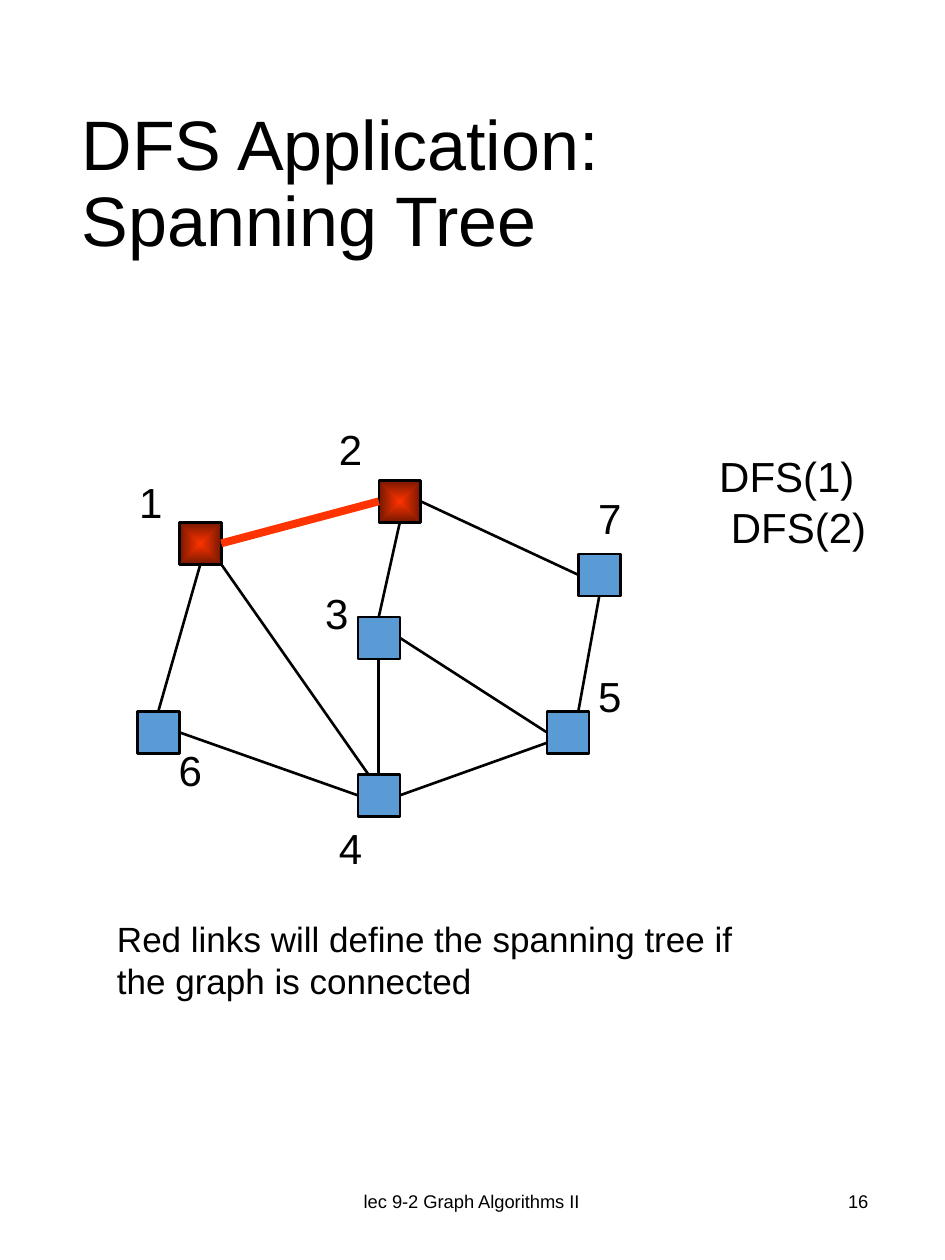
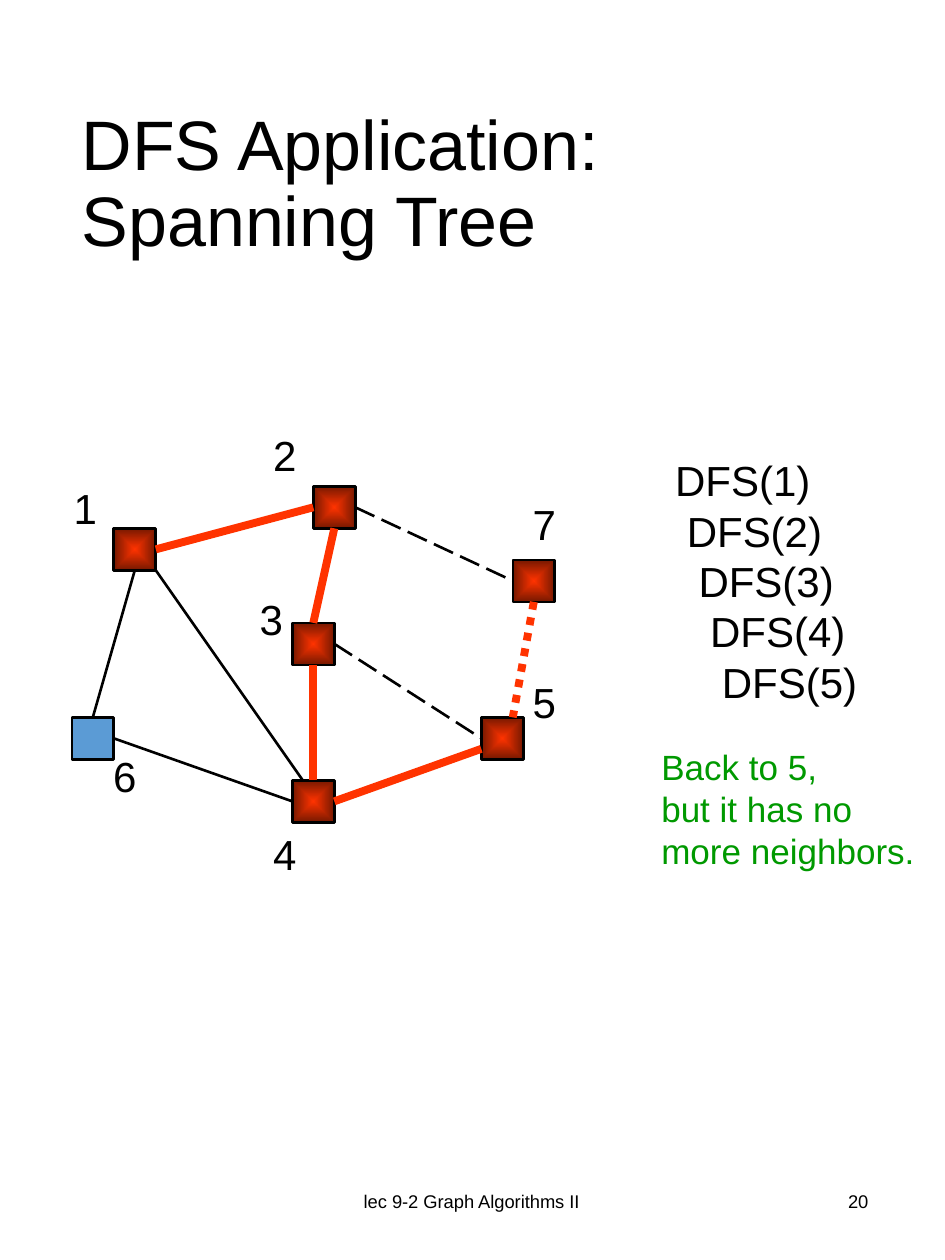
from lxml import etree
from pptx import Presentation
from pptx.dml.color import RGBColor
from pptx.enum.dml import MSO_LINE
from pptx.enum.shapes import MSO_CONNECTOR, MSO_SHAPE
from pptx.enum.text import MSO_ANCHOR, MSO_AUTO_SIZE, PP_ALIGN
from pptx.oxml import parse_xml
from pptx.oxml.ns import qn
from pptx.util import Inches, Pt

LEFT, CENTER, RIGHT = PP_ALIGN.LEFT, PP_ALIGN.CENTER, PP_ALIGN.RIGHT
TOP, MIDDLE = MSO_ANCHOR.TOP, MSO_ANCHOR.MIDDLE
FIT_SHAPE = MSO_AUTO_SIZE.SHAPE_TO_FIT_TEXT
RECTANGLE, STRAIGHT = MSO_SHAPE.RECTANGLE, MSO_CONNECTOR.STRAIGHT
LONG_DASH, DOTTED = MSO_LINE.LONG_DASH, MSO_LINE.ROUND_DOT

# Grid: twelve columns and rows to the inch
CELL = Inches(1) / 12
COLUMNS, ROWS = 90, 120
NODE_SIZE = 4

# Colours
BLACK, BLUE, GREEN = "000000", "5B9BD5", "009900"
RED, DARK_RED = "FF3300", "761800"

# Graph in grid cells from its top left corner: node position, label position
NODES = {
    1: ((4, 4), (-1, -1)),
    6: ((0, 22), (2.75, 24.6)),
    4: ((21, 28), (18, 32)),
    5: ((39, 22), (42.7, 17.5)),
    3: ((21, 13), (16.7, 9.6)),
    2: ((23, 0), (18, -6)),
    7: ((42, 7), (42.7, 0.6)),
}

# Where an edge meets its nodes, as shares of the node size
RIGHT_SIDE, LEFT_SIDE = (1, 0.5), (0, 0.5)
BOTTOM_SIDE, TOP_SIDE = (0.5, 1), (0.5, 0)
EDGES = {
    (1, 2): (RIGHT_SIDE, LEFT_SIDE),
    (2, 3): (BOTTOM_SIDE, TOP_SIDE),
    (2, 7): (RIGHT_SIDE, LEFT_SIDE),
    (3, 5): (RIGHT_SIDE, LEFT_SIDE),
    (7, 5): (BOTTOM_SIDE, (0.75, 0)),
    (3, 4): (BOTTOM_SIDE, TOP_SIDE),
    (4, 5): (RIGHT_SIDE, (0, 0.75)),
    (6, 4): (RIGHT_SIDE, LEFT_SIDE),
    (1, 6): (BOTTOM_SIDE, TOP_SIDE),
    (1, 4): ((1, 1), (0.25, 0)),
}


def color(hex_string):
    return RGBColor.from_string(hex_string)


def cells(count):
    return round(count * CELL)


class LectureDeck:
    font_name = "Arial"
    title_size, label_size, note_size, footer_size = 40, 24, 20, 10.5
    thin, thick = 1.5, 4.5
    call_indent = 6.67

    def __init__(self):
        self.presentation = Presentation()
        self.presentation.slide_width = cells(COLUMNS)
        self.presentation.slide_height = cells(ROWS)
        self.slide = None

    def add_slide(self, number):
        """Start a slide with the shared title and footer."""
        self.slide = self.presentation.slides.add_slide(self.presentation.slide_layouts[6])
        footer = dict(size=self.footer_size, anchor=MIDDLE)
        self.text(["lec 9-2 Graph Algorithms II"], 29.76, 111.24, 30.36, 6.36,
                  align=CENTER, **footer)
        self.text([str(number)], 63.6, 111.24, 20.28, 6.36, align=RIGHT, **footer)
        title = self.text(["DFS Application: Spanning Tree"], 6.6, 6.12, 77.64, 23.16,
                          size=self.title_size, anchor=MIDDLE)
        title.text_frame.paragraphs[0].line_spacing = 0.9

    def text(self, lines, column, row, width, height, size, hue=BLACK,
             align=LEFT, anchor=TOP, wrap=True, grow=False, indent=0):
        """Add a text box; each line is indented one step more than the last."""
        box = self.slide.shapes.add_textbox(*map(cells, (column, row, width, height)))
        frame = box.text_frame
        frame.text = "\n".join(lines)
        frame.word_wrap = wrap
        frame.vertical_anchor = anchor
        if grow:
            frame.auto_size = FIT_SHAPE
        for level, paragraph in enumerate(frame.paragraphs):
            if indent and level:
                paragraph._p.get_or_add_pPr().set("marL", str(Pt(indent * level)))
            paragraph.alignment = align
            for run in paragraph.runs:
                run.font.name = self.font_name
                run.font.size = Pt(size)
                run.font.color.rgb = color(hue)
        return box

    def node(self, column, row, visited):
        square = self.slide.shapes.add_shape(
            RECTANGLE, *map(cells, (column, row, NODE_SIZE, NODE_SIZE)))
        square.shadow.inherit = False
        square.line.color.rgb = color(BLACK)
        square.line.width = Pt(self.thin)
        if visited:
            self.radial_fill(square)
        else:
            square.fill.solid()
            square.fill.fore_color.rgb = color(BLUE)

    def radial_fill(self, shape):
        """Fill from bright red in the middle to dark red at the border."""
        shape.fill.gradient()
        for stop, hue in zip(shape.fill.gradient_stops, (RED, DARK_RED)):
            stop.color.rgb = color(hue)
        gradient = shape._element.spPr.find(qn("a:gradFill"))
        gradient.replace(gradient.find(qn("a:lin")), parse_xml(
            '<a:path xmlns:a="http://schemas.openxmlformats.org/drawingml/2006/main" '
            'path="shape"><a:fillToRect l="50000" t="50000" r="50000" b="50000"/></a:path>'))

    def edge(self, start, end, in_tree, dash):
        line = self.slide.shapes.add_connector(STRAIGHT, *map(cells, (*start, *end)))
        line.line.color.rgb = color(RED if in_tree else BLACK)
        line.line.width = Pt(self.thick if in_tree else self.thin)
        if dash:
            line.line.dash_style = dash
        etree.SubElement(line._element.spPr, qn("a:effectLst"))

    def graph(self, left, top, visited, tree, dashes):
        """Draw the nodes, then the edges, then the labels."""
        for name, ((column, row), _) in NODES.items():
            self.node(left + column, top + row, name in visited)
        for pair, anchors in EDGES.items():
            start, end = [
                (left + NODES[name][0][0] + NODE_SIZE * across,
                 top + NODES[name][0][1] + NODE_SIZE * down)
                for name, (across, down) in zip(pair, anchors)]
            self.edge(start, end, pair in tree, dashes.get(pair))
        for name, (_, (column, row)) in NODES.items():
            self.text([str(name)], left + column, top + row, 4.7, 6,
                      size=self.label_size, wrap=False, grow=True)

    def call_stack(self, depth, column, row, width, height):
        calls = [f"DFS({name})" for name in range(1, depth + 1)]
        self.text(calls, column, row, width, height, size=self.label_size,
                  grow=True, indent=self.call_indent)

    def note(self, lines, column, row, width, height, hue=BLACK):
        self.text(lines, column, row, width, height, size=self.note_size,
                  hue=hue, grow=True)


def main():
    deck = LectureDeck()

    # First link of the spanning tree
    deck.add_slide(16)
    deck.graph(13.08, 45.75, visited={1, 2}, tree={(1, 2)}, dashes={})
    deck.call_stack(2, 67.32, 42.36, 16.8, 10.92)
    deck.note(["Red links will define the spanning tree if the graph is connected"],
              9.96, 86.76, 64.92, 9.24)

    # Return from node 7 to node 5
    deck.add_slide(20)
    deck.graph(6.84, 46.32, visited={1, 2, 3, 4, 5, 7},
               tree={(1, 2), (2, 3), (3, 4), (4, 5), (7, 5)},
               dashes={(2, 7): LONG_DASH, (3, 5): LONG_DASH, (7, 5): DOTTED})
    deck.call_stack(5, 63.12, 42.72, 20.28, 25.44)
    deck.note(["Back to 5,", "but it has no", "more neighbors."],
              61.8, 70.44, 28.2, 13.32, hue=GREEN)

    deck.presentation.save("out.pptx")


if __name__ == "__main__":
    main()
